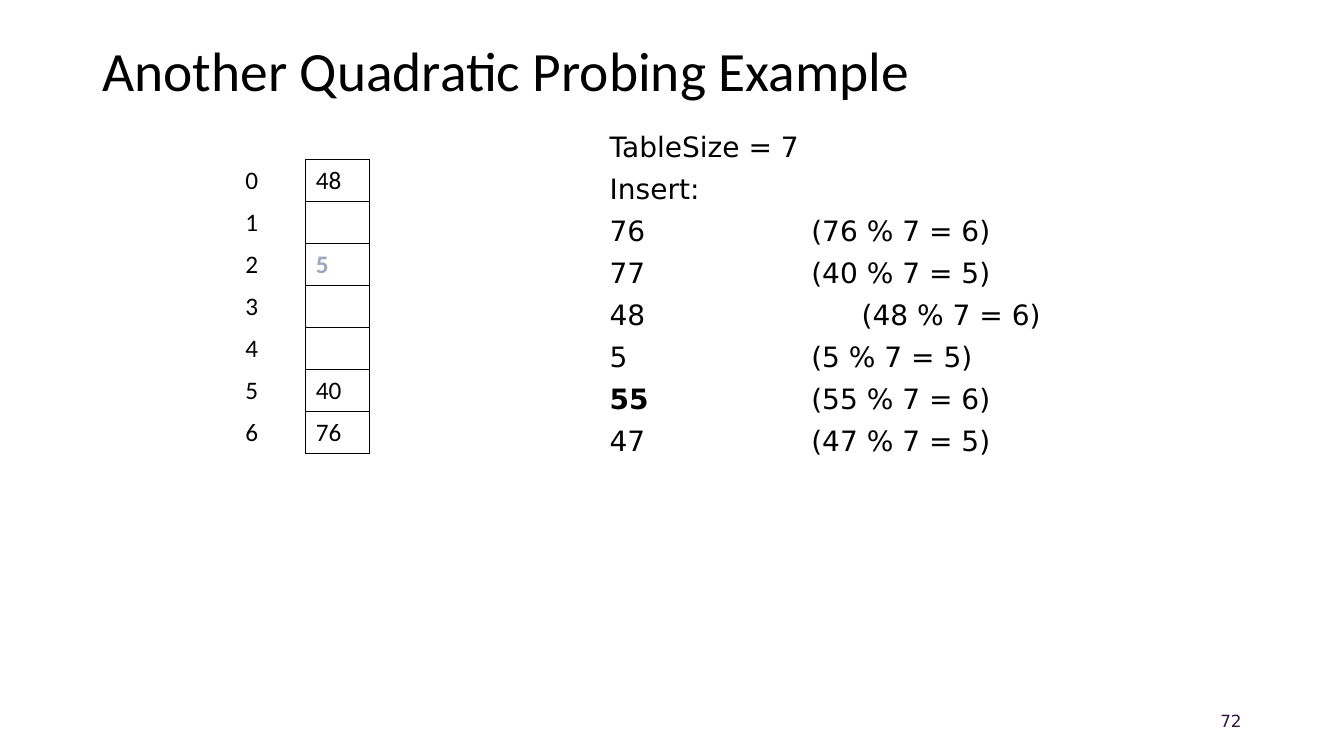
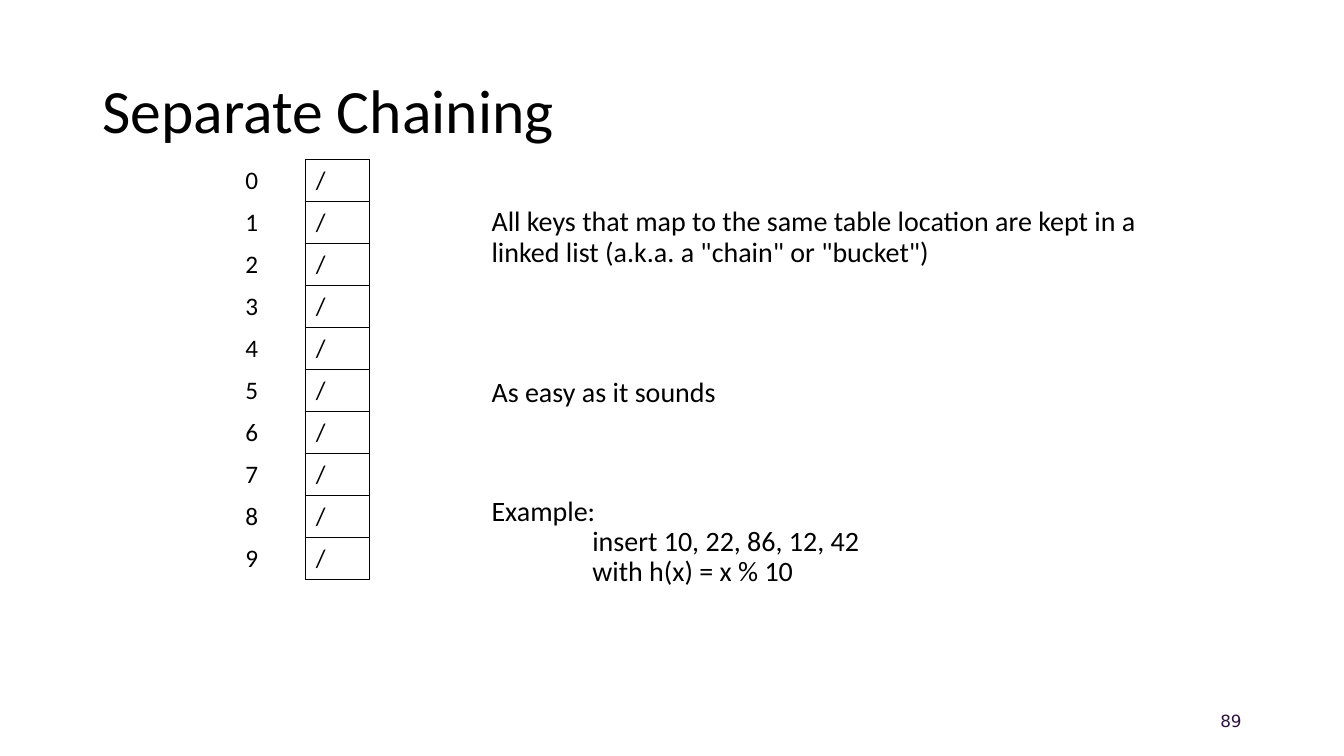
from dataclasses import dataclass

from lxml.etree import SubElement
from pptx import Presentation
from pptx.dml.color import RGBColor
from pptx.enum.text import MSO_ANCHOR, MSO_AUTO_SIZE, PP_ALIGN
from pptx.oxml import parse_xml
from pptx.oxml.ns import nsdecls, qn
from pptx.slide import Slide
from pptx.table import _Cell
from pptx.text.text import TextFrame, _Paragraph
from pptx.util import Pt

COLORS = {"text": "000000", "highlight": "99A8BD", "number": "2F1343"}
BODY_FONT = "Calibri"
PLAIN_FONT = "DejaVu Sans"
TITLE_ONLY = 5
ROW_HEIGHT = 30
COLUMN_WIDTHS = (50.4, 45.6)


@dataclass(frozen=True)
class Run:
    text: str
    bold: bool = False
    color: str = "text"


@dataclass(frozen=True)
class Line:
    runs: tuple[Run, ...]
    space_before: float = 0
    indent: float = 0
    tab_stop: float = 0


@dataclass(frozen=True)
class Box:
    left: float
    top: float
    width: float
    height: float


@dataclass(frozen=True)
class TextStyle:
    font: str
    size: float
    line_spacing: float = 1.0


CELL_STYLE = TextStyle(BODY_FONT, 18)
NUMBER_STYLE = TextStyle(PLAIN_FONT, 12)
INSERT_STYLE = TextStyle(PLAIN_FONT, 20)
CHAINING_STYLE = TextStyle(BODY_FONT, 20, 0.9)


def add_run(paragraph: _Paragraph, content: Run, style: TextStyle, color: str = "") -> None:
    run = paragraph.add_run()
    run.text = content.text
    run.font.name = style.font
    run.font.size = Pt(style.size)
    run.font.bold = content.bold
    run.font.color.rgb = RGBColor.from_string(COLORS[color or content.color])


def fill_frame(frame: TextFrame, lines: list[Line], style: TextStyle) -> None:
    frame.word_wrap = True
    for index, line in enumerate(lines):
        paragraph = frame.paragraphs[0] if index == 0 else frame.add_paragraph()
        properties = paragraph._p.get_or_add_pPr()
        if line.indent:
            properties.set("marL", str(Pt(line.indent)))
            properties.set("indent", "0")
        if line.tab_stop:
            tabs = SubElement(properties, qn("a:tabLst"))
            SubElement(tabs, qn("a:tab"), pos=str(Pt(line.tab_stop)), algn="l")
        paragraph.line_spacing = style.line_spacing
        if index:
            paragraph.space_before = Pt(line.space_before)
        for content in line.runs:
            add_run(paragraph, content, style)


def add_text(slide: Slide, box: Box, lines: list[Line], style: TextStyle) -> TextFrame:
    shape = slide.shapes.add_textbox(Pt(box.left), Pt(box.top), Pt(box.width), Pt(box.height))
    fill_frame(shape.text_frame, lines, style)
    return shape.text_frame


def set_title(slide: Slide, text: str, size: float, height: float) -> None:
    title = slide.shapes.title
    title.left, title.top = Pt(66), Pt(28.8)
    title.width, title.height = Pt(828), Pt(height)
    frame = title.text_frame
    frame.auto_size = MSO_AUTO_SIZE.NONE
    frame.vertical_anchor = MSO_ANCHOR.MIDDLE
    fill_frame(frame, [Line((Run(text),))], TextStyle(BODY_FONT, size, 0.9))
    frame.paragraphs[0].alignment = PP_ALIGN.LEFT


def add_number(slide: Slide, number: str) -> None:
    line = Line((Run(number, color="number"),))
    frame = add_text(slide, Box(678, 500.4, 216, 28.8), [line], NUMBER_STYLE)
    frame.vertical_anchor = MSO_ANCHOR.MIDDLE
    frame.paragraphs[0].alignment = PP_ALIGN.RIGHT


def set_borders(cell: _Cell, visible_sides: str) -> None:
    properties = cell._tc.get_or_add_tcPr()
    for index, side in enumerate("LRTB"):
        paint = "<a:noFill/>"
        if side in visible_sides:
            paint = f'<a:solidFill><a:srgbClr val="{COLORS["text"]}"/></a:solidFill>'
        border = f'<a:ln{side} {nsdecls("a")} w="{Pt(1)}">{paint}</a:ln{side}>'
        properties.insert(index, parse_xml(border))


def add_hash_table(slide: Slide, entries: list[Run]) -> None:
    frame = slide.shapes.add_table(
        len(entries), 2, Pt(168), Pt(114), Pt(sum(COLUMN_WIDTHS)), Pt(ROW_HEIGHT * len(entries))
    )
    table = frame.table
    table.first_row = False
    table.horz_banding = False
    for column, width in zip(table.columns, COLUMN_WIDTHS):
        column.width = Pt(width)
    for index, entry in enumerate(entries):
        table.rows[index].height = Pt(ROW_HEIGHT)
        for column, content in enumerate((Run(str(index)), entry)):
            cell = table.cell(index, column)
            cell.fill.background()
            cell.vertical_anchor = MSO_ANCHOR.MIDDLE
            set_borders(cell, "LRTB" if column else "R")
            if content.text:
                add_run(cell.text_frame.paragraphs[0], content, CELL_STYLE)


def insert_line(key: str, calculation: str, tab_stop: float = 144, bold: bool = False) -> Line:
    return Line((Run(key, bold), Run(f"\t({calculation})")), 6, tab_stop=tab_stop)


def build_probing(slide: Slide) -> None:
    set_title(slide, "Another Quadratic Probing Example", 39.6, 46.8)
    add_number(slide, "72")
    empty = Run("")
    add_hash_table(
        slide,
        [Run("48"), empty, Run("5", True, "highlight"), empty, empty, Run("40"), Run("76")],
    )
    lines = [
        Line((Run("TableSize = 7"),)),
        Line((Run("Insert:"),), 6),
        insert_line("76", "76 % 7 = 6"),
        insert_line("77", "40 % 7 = 5"),
        insert_line("48", "48 % 7 = 6", tab_stop=180),
        insert_line("5", "5 % 7 = 5"),
        insert_line("55", "55 % 7 = 6", bold=True),
        insert_line("47", "47 % 7 = 5"),
    ]
    add_text(slide, Box(428.4, 88.6, 347, 334), lines, INSERT_STYLE)


def build_chaining(slide: Slide) -> None:
    set_title(slide, "Separate Chaining", 44, 104.4)
    add_number(slide, "89")
    add_hash_table(slide, [Run("/")] * 10)
    definition = (
        "All keys that map to the same table location are kept in a "
        'linked list (a.k.a. a "chain" or "bucket")'
    )
    lines = [
        Line((Run(definition),)),
        Line((Run("As easy as it sounds"),), 79),
        Line((Run("Example:"),), 63),
        Line((Run("insert 10, 22, 86, 12, 42"),), indent=72),
        Line((Run("with h(x) = x % 10"),), indent=72),
    ]
    add_text(slide, Box(344, 144.7, 478, 347), lines, CHAINING_STYLE)


def main() -> None:
    presentation = Presentation()
    presentation.slide_width = Pt(960)
    presentation.slide_height = Pt(540)
    layout = presentation.slide_layouts[TITLE_ONLY]
    for build in (build_probing, build_chaining):
        build(presentation.slides.add_slide(layout))
    presentation.save("out.pptx")


if __name__ == "__main__":
    main()
